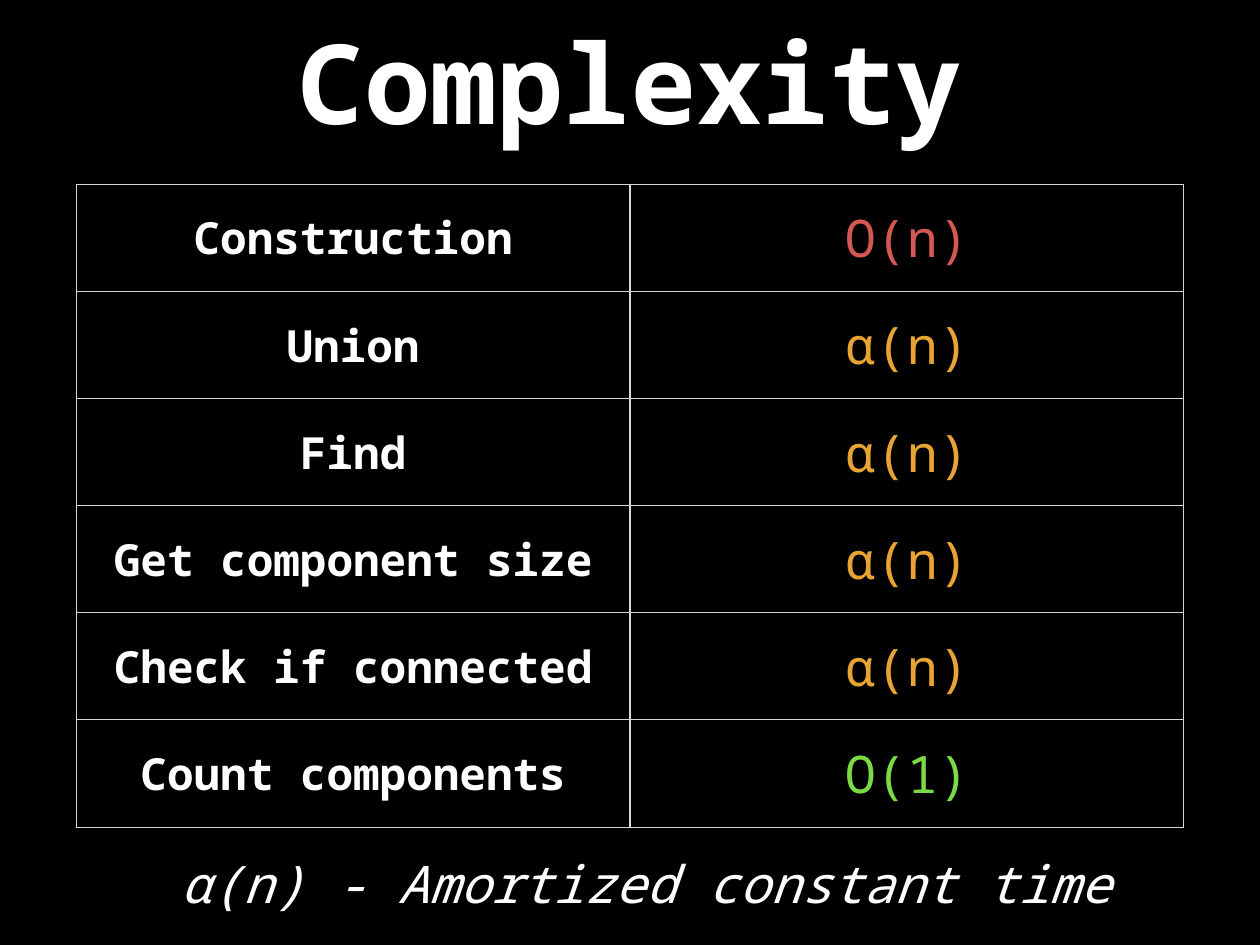
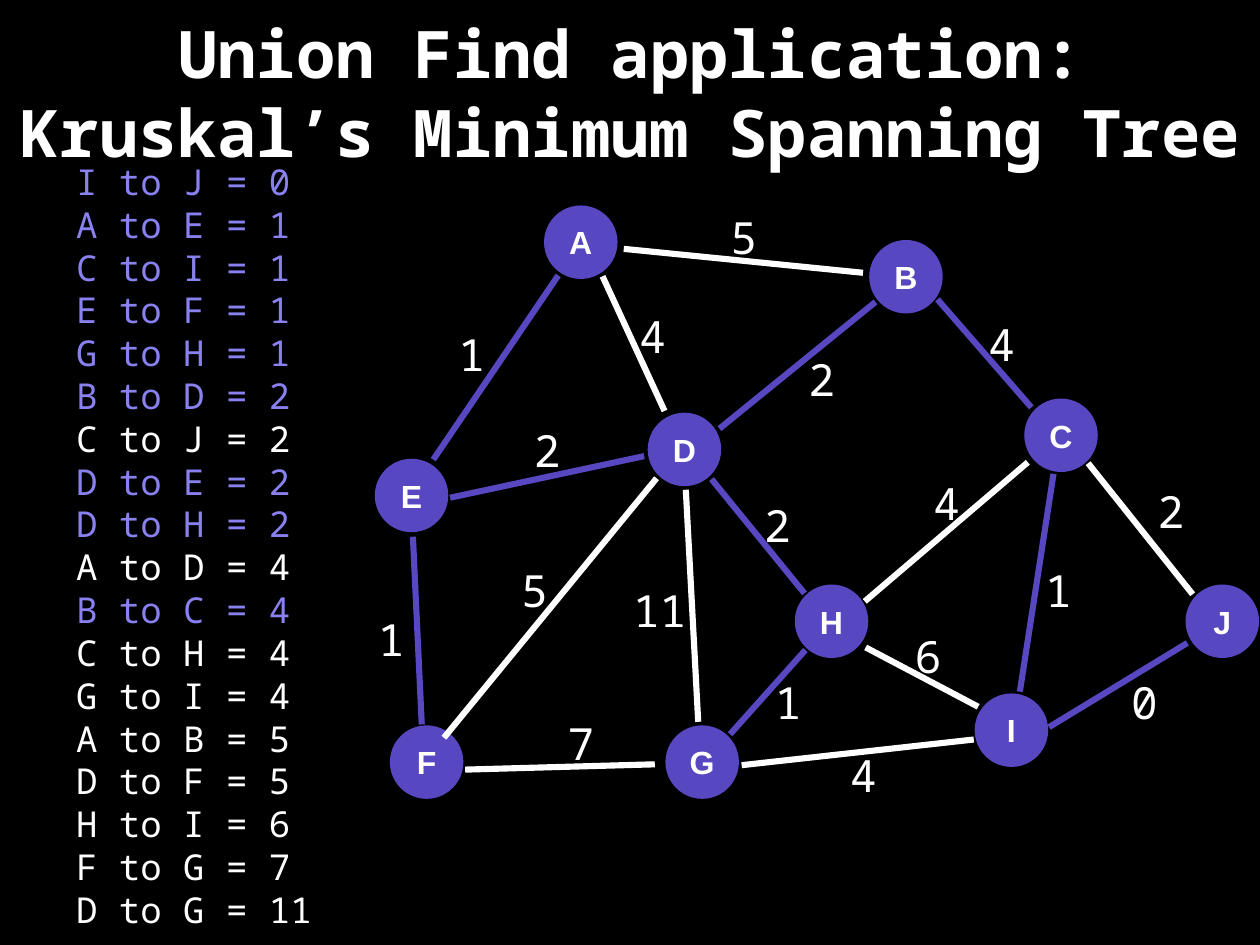
import dataclasses

import lxml.etree
import pptx
import pptx.dml.color
import pptx.enum.shapes
import pptx.enum.text
import pptx.oxml.ns
import pptx.util

Inches = pptx.util.Inches
Align = pptx.enum.text.PP_ALIGN
Anchor = pptx.enum.text.MSO_ANCHOR


@dataclasses.dataclass(frozen=True)
class Theme:
    """Colours, fonts and type sizes shared by the slides."""

    background: str = "000000"
    text: str = "FFFFFF"
    rule: str = "D6D7D6"
    accent: str = "5747C1"
    chosen: str = "8981F0"
    slow: str = "D45854"
    medium: str = "E8A432"
    fast: str = "7BDB45"
    mono: str = "Noto Sans Mono"
    sans: str = "Arial"
    title_large: float = 90
    title_small: float = 53.3
    cost: float = 42
    label: float = 36
    listing: float = 29
    node: float = 26
    edge_width: float = 5
    inset: float = 0.06


@dataclasses.dataclass(frozen=True)
class Box:
    """A region of a slide in inches."""

    left: float
    top: float
    width: float
    height: float

    def inner(self, left, top, width, height):
        """Return a box placed relative to this one."""
        return Box(self.left + left, self.top + top, width, height)

    def point(self, position):
        """Return the slide position of a point given relative to this box."""
        return Inches(self.left + position[0]), Inches(self.top + position[1])

    def lengths(self):
        """Return left, top, width and height as lengths."""
        return [Inches(value) for value in dataclasses.astuple(self)]


THEME = Theme()

COSTS = [
    ("Construction", "O(n)", THEME.slow),
    ("Union", "α(n)", THEME.medium),
    ("Find", "α(n)", THEME.medium),
    ("Get component size", "α(n)", THEME.medium),
    ("Check if connected", "α(n)", THEME.medium),
    ("Count components", "O(1)", THEME.fast),
]

NODE_SIZE = 0.83
NODES = {
    "A": (2.14, 0.32), "B": (5.81, 0.71), "C": (7.56, 2.5), "D": (3.31, 2.66),
    "E": (0.23, 3.18), "F": (0.4, 6.19), "G": (3.51, 6.19), "H": (4.97, 4.6),
    "I": (7, 5.83), "J": (9.38, 4.6),
}


@dataclasses.dataclass(frozen=True)
class Edge:
    """A weighted edge with its line ends and the corner of its label."""

    first: str
    second: str
    weight: int
    in_tree: bool
    start: tuple
    end: tuple
    label: tuple


EDGES = [
    Edge("I", "J", 0, True, (7.84, 6.21), (9.4, 5.26), (8.7, 5.58)),
    Edge("A", "E", 1, True, (2.3, 1.11), (0.89, 3.19), (1.11, 1.65)),
    Edge("C", "I", 1, True, (7.89, 3.35), (7.51, 5.81), (7.73, 4.32)),
    Edge("E", "F", 1, True, (0.66, 4.06), (0.76, 6.18), (0.2, 4.87)),
    Edge("G", "H", 1, True, (4.24, 6.29), (5.09, 5.34), (4.68, 5.58)),
    Edge("B", "D", 2, True, (5.88, 1.41), (4.12, 2.84), (5.06, 1.94)),
    Edge("C", "J", 2, False, (8.28, 3.23), (9.46, 4.71), (9, 3.43)),
    Edge("D", "E", 2, True, (3.27, 3.15), (1.08, 3.62), (1.96, 2.74)),
    Edge("D", "H", 2, True, (4.03, 3.41), (5.08, 4.7), (4.56, 3.58)),
    Edge("A", "D", 4, False, (2.8, 1.12), (3.5, 2.64), (3.15, 1.45)),
    Edge("B", "C", 4, True, (6.58, 1.38), (7.64, 2.6), (7.09, 1.54)),
    Edge("C", "H", 4, False, (7.6, 3.22), (5.76, 4.79), (6.47, 3.34)),
    Edge("G", "I", 4, False, (4.37, 6.64), (6.99, 6.35), (5.53, 6.41)),
    Edge("A", "B", 5, False, (3.04, 0.81), (5.74, 1.08), (4.18, 0.33)),
    Edge("D", "F", 5, False, (3.41, 3.4), (1.01, 6.33), (1.82, 4.32)),
    Edge("H", "I", 6, False, (5.77, 5.31), (7.04, 5.98), (6.26, 5.06)),
    Edge("F", "G", 7, False, (1.25, 6.69), (3.39, 6.63), (2.34, 6.05)),
    Edge("D", "G", 11, False, (3.74, 3.53), (3.88, 6.15), (3.08, 4.54)),
]


def rgb(colour):
    """Return a colour object for a hexadecimal string."""
    return pptx.dml.color.RGBColor.from_string(colour)


def set_attributes(target, values):
    """Set each attribute named in a dict of format values."""
    for name, value in values.items():
        setattr(target, name, value)


def set_insets(target):
    """Give a text frame or a cell the shared margins and middle anchor."""
    margins = ("margin_left", "margin_top", "margin_right", "margin_bottom")
    set_attributes(target, dict.fromkeys(margins, Inches(THEME.inset)))
    target.vertical_anchor = Anchor.MIDDLE


def write_line(paragraph, text, size, colour=THEME.text, font=THEME.mono,
               alignment=Align.CENTER, **styles):
    """Write one formatted run into a paragraph."""
    paragraph.alignment = alignment
    run = paragraph.add_run()
    run.text = text
    set_attributes(run.font, {"name": font, "size": pptx.util.Pt(size), **styles})
    run.font.color.rgb = rgb(colour)


def add_text(slide, box, lines, wrap=False):
    """Add a text box whose lines are dicts of text and format."""
    frame = slide.shapes.add_textbox(*box.lengths()).text_frame
    set_insets(frame)
    frame.word_wrap = wrap
    for index, line in enumerate(lines):
        paragraph = frame.add_paragraph() if index else frame.paragraphs[0]
        write_line(paragraph, **line)


def add_titled_slide(presentation, box, text, size):
    """Add a title-only slide with its title in the given box."""
    slide = presentation.slides.add_slide(presentation.slide_layouts[5])
    title = slide.shapes.title
    set_attributes(title, dict(zip(("left", "top", "width", "height"), box.lengths())))
    frame = title.text_frame
    set_insets(frame)
    set_attributes(frame, {"word_wrap": True, "auto_size": pptx.enum.text.MSO_AUTO_SIZE.NONE})
    write_line(frame.paragraphs[0], text, size, bold=True)
    return slide


def add_cell_borders(cell):
    """Draw a thin rule on the four sides of a table cell."""
    properties = cell._tc.get_or_add_tcPr()
    qualified = pptx.oxml.ns.qn
    for index, side in enumerate(("a:lnL", "a:lnR", "a:lnT", "a:lnB")):
        line = lxml.etree.Element(qualified(side), w=str(pptx.util.Pt(1)))
        fill = lxml.etree.SubElement(line, qualified("a:solidFill"))
        lxml.etree.SubElement(fill, qualified("a:srgbClr"), val=THEME.rule)
        properties.insert(index, line)


def add_cost_table(slide, box):
    """Add the table of operations and their costs."""
    table = slide.shapes.add_table(len(COSTS), 2, *box.lengths()).table
    set_attributes(table, {"first_row": False, "horz_banding": False})
    for row, (operation, cost, colour) in enumerate(COSTS):
        table.rows[row].height = Inches(box.height / len(COSTS))
        entries = (
            {"text": operation, "size": THEME.label, "bold": True},
            {"text": cost, "size": THEME.cost, "colour": colour, "bold": False},
        )
        for column, entry in enumerate(entries):
            cell = table.cell(row, column)
            set_insets(cell)
            cell.fill.background()
            add_cell_borders(cell)
            write_line(cell.text_frame.paragraphs[0], **entry)


def add_node(slide, box, name):
    """Add one round graph node."""
    oval = pptx.enum.shapes.MSO_SHAPE.OVAL
    shape = slide.shapes.add_shape(oval, *box.lengths())
    shape.shadow.inherit = False
    shape.fill.solid()
    shape.fill.fore_color.rgb = rgb(THEME.accent)
    shape.line.fill.background()
    set_insets(shape.text_frame)
    write_line(shape.text_frame.paragraphs[0], name, THEME.node,
               font=THEME.sans, bold=True)


def add_edge(slide, box, edge):
    """Add the line of one edge."""
    straight = pptx.enum.shapes.MSO_CONNECTOR.STRAIGHT
    connector = slide.shapes.add_connector(
        straight, *box.point(edge.start), *box.point(edge.end))
    connector.line.width = pptx.util.Pt(THEME.edge_width)
    connector.line.color.rgb = rgb(THEME.accent if edge.in_tree else THEME.text)
    lxml.etree.SubElement(connector._element.spPr, pptx.oxml.ns.qn("a:effectLst"))


def add_graph(slide, box):
    """Add the weighted graph: nodes, edges and weights."""
    for name, position in NODES.items():
        add_node(slide, box.inner(*position, NODE_SIZE, NODE_SIZE), name)
    for edge in EDGES:
        add_edge(slide, box, edge)
    for edge in EDGES:
        weight = str(edge.weight)
        width = 0.13 + 0.3 * len(weight)
        add_text(slide, box.inner(*edge.label, width, 0.68),
                 [{"text": weight, "size": THEME.label}])


def add_edge_list(slide, box):
    """Add the sorted list of edges with the chosen ones highlighted."""
    add_text(slide, box, [
        {
            "text": f"{edge.first} to {edge.second} = {edge.weight}",
            "size": THEME.listing,
            "colour": THEME.chosen if edge.in_tree else THEME.text,
            "alignment": Align.LEFT,
        }
        for edge in EDGES
    ])


def build_complexity_slide(presentation):
    """Build the slide with the cost of each operation."""
    slide = add_titled_slide(presentation, Box(1.04, -0.04, 12.14, 1.9),
                             "Complexity", THEME.title_large)
    add_cost_table(slide, Box(0.86, 2.08, 12.5, 7.26))
    add_text(slide, Box(1.96, 9.57, 10.66, 0.79), [
        {"text": "α(n) - Amortized constant time", "size": THEME.cost, "italic": True}])


def build_spanning_tree_slide(presentation):
    """Build the slide with the edge list and the graph."""
    slide = add_titled_slide(presentation, Box(0.15, -0.01, 13.93, 2.09),
                             "Union Find application: Kruskal’s Minimum Spanning Tree",
                             THEME.title_small)
    add_graph(slide, Box(4, 2, 10.22, 7.1))
    add_edge_list(slide, Box(0.8, 1.85, 3.03, 8.61))


def main():
    """Build and save the presentation."""
    presentation = pptx.Presentation()
    set_attributes(presentation, {"slide_width": Inches(14.22), "slide_height": Inches(10.67)})
    fill = presentation.slide_master.background.fill
    fill.solid()
    fill.fore_color.rgb = rgb(THEME.background)
    build_complexity_slide(presentation)
    build_spanning_tree_slide(presentation)
    presentation.save("out.pptx")


if __name__ == "__main__":
    main()
